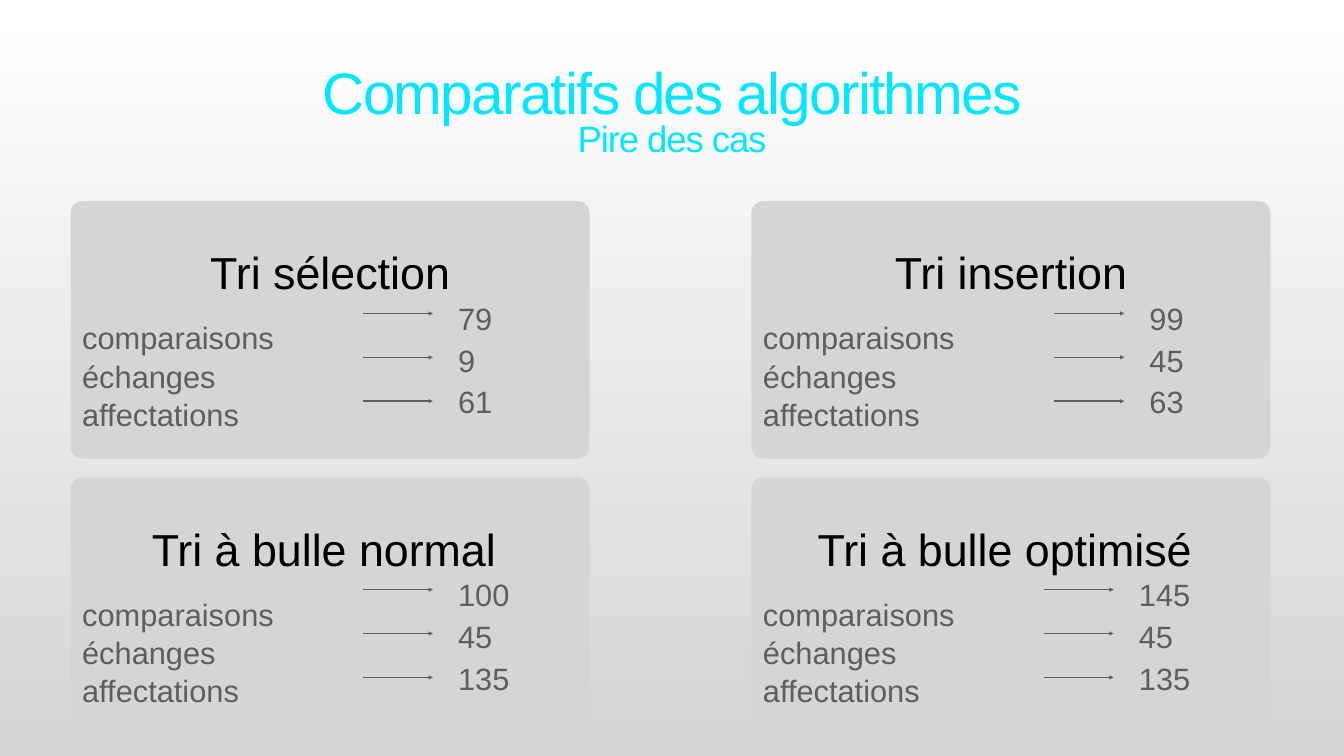
from dataclasses import dataclass

from lxml.etree import SubElement
from pptx import Presentation
from pptx.dml.color import RGBColor
from pptx.enum.shapes import MSO_CONNECTOR, MSO_SHAPE
from pptx.enum.text import MSO_ANCHOR, MSO_AUTO_SIZE, PP_ALIGN
from pptx.oxml.ns import qn
from pptx.util import Inches, Pt


@dataclass(frozen=True)
class Theme:
    font: str = "Arial"
    background: tuple = ("FFFFFF", "D5D5D5")
    heading: tuple = ("00E8FF", "FF00F7")
    card: str = "D5D5D5"
    black: str = "000000"
    grey: str = "5E5E5E"
    title_size: float = 83.5
    subtitle_size: float = 52.2
    name_size: float = 64
    body_size: float = 44


THEME = Theme()

# Card grid and the rows inside each card
CARD_LEFTS = (1.4, 14.91)
CARD_TOPS = (3.99, 9.47)
CARD_WIDTH, CARD_HEIGHT = 10.3, 5.11
ARROW_LENGTH = 1.39
MEASURES = ("comparaisons", "échanges", "affectations")

# Name, column, row, arrow offset from the card's left, values
ALGORITHMS = (
    ("Tri sélection", 0, 0, 5.8, (79, 9, 61)),
    ("Tri insertion", 1, 0, 6.01, (99, 45, 63)),
    ("Tri à bulle normal ", 0, 1, 5.8, (100, 45, 135)),
    ("Tri à bulle optimisé ", 1, 1, 5.8, (145, 45, 135)),
)


def apply_format(target, values):
    for name, value in values.items():
        setattr(target, name, value)


def format_frame(frame, anchor, wrap=True):
    margins = {f"margin_{side}": Inches(0.06)
               for side in ("left", "top", "right", "bottom")}
    apply_format(frame, {"auto_size": MSO_AUTO_SIZE.NONE, "word_wrap": wrap,
                         "vertical_anchor": anchor, **margins})


def apply_gradient(fill, colors, angle):
    fill.gradient()
    fill.gradient_angle = angle
    for stop, color in zip(fill.gradient_stops, colors):
        stop.color.rgb = RGBColor.from_string(color)


def add_text_box(slide, left, top, width, height, anchor, wrap=True):
    box = slide.shapes.add_textbox(
        Inches(left), Inches(top), Inches(width), Inches(height))
    format_frame(box.text_frame, anchor, wrap)
    return box.text_frame


def write_run(paragraph, text, size, color=None):
    run = paragraph.add_run()
    run.text = text
    apply_format(run.font, {"name": THEME.font, "size": Pt(size)})
    if color:
        run.font.color.rgb = RGBColor.from_string(color)
    return run


def write_heading(frame, text, size, tracking):
    paragraph = frame.paragraphs[0]
    apply_format(paragraph, {"alignment": PP_ALIGN.CENTER, "line_spacing": 0.9})
    run = write_run(paragraph, text, size)
    apply_gradient(run.font.fill, THEME.heading, 294)
    run.font._element.set("spc", str(int(tracking * 100)))


def add_headings(slide):
    title = slide.shapes.title
    apply_format(title, {"left": Inches(1.39), "top": Inches(0.89),
                         "width": Inches(23.89), "height": Inches(1.7)})
    format_frame(title.text_frame, MSO_ANCHOR.BOTTOM)
    write_heading(title.text_frame, "Comparatifs des algorithmes",
                  THEME.title_size, -2.5)
    subtitle = add_text_box(slide, 1.39, 2.33, 23.89, 1.11, MSO_ANCHOR.TOP)
    write_heading(subtitle, "Pire des cas", THEME.subtitle_size, -1.6)


def add_card(slide, left, top):
    card = slide.shapes.add_shape(
        MSO_SHAPE.ROUNDED_RECTANGLE, Inches(left), Inches(top),
        Inches(CARD_WIDTH), Inches(CARD_HEIGHT))
    card.adjustments[0] = 0.046
    card.shadow.inherit = False
    card.fill.solid()
    card.fill.fore_color.rgb = RGBColor.from_string(THEME.card)
    card.line.fill.background()


def add_card_text(slide, name, left, top):
    frame = add_text_box(slide, left, top + 0.18, CARD_WIDTH, CARD_HEIGHT,
                         MSO_ANCHOR.MIDDLE)
    heading = frame.paragraphs[0]
    heading.alignment = PP_ALIGN.CENTER
    write_run(heading, name, THEME.name_size, THEME.black)
    for index, measure in enumerate(MEASURES):
        paragraph = frame.add_paragraph()
        paragraph.space_before = Pt(2 if index else 29)
        paragraph._p.get_or_add_pPr().set("marL", str(Inches(0.17)))
        write_run(paragraph, measure, THEME.body_size, THEME.grey)


def add_arrow(slide, left, y):
    arrow = slide.shapes.add_connector(
        MSO_CONNECTOR.STRAIGHT, Inches(left), Inches(y),
        Inches(left + ARROW_LENGTH), Inches(y))
    arrow.line.width = Pt(2)
    arrow.line.color.rgb = RGBColor.from_string(THEME.grey)
    SubElement(arrow.line._get_or_add_ln(), qn("a:tailEnd"), type="triangle")
    SubElement(arrow._element.spPr, qn("a:effectLst"))


def add_value(slide, value, left, top):
    text = str(value)
    frame = add_text_box(slide, left, top, 0.13 + 0.35 * len(text), 0.94,
                         MSO_ANCHOR.MIDDLE, wrap=False)
    write_run(frame.paragraphs[0], text, THEME.body_size, THEME.grey)


def add_algorithm(slide, name, column, row, arrow_offset, values):
    left, top = CARD_LEFTS[column], CARD_TOPS[row]
    add_card(slide, left, top)
    add_card_text(slide, name, left, top)
    arrow_left = left + arrow_offset
    for index, value in enumerate(values):
        add_arrow(slide, arrow_left, top + 2.23 + 0.87 * index)
        add_value(slide, value, arrow_left + 1.83, top + 1.85 + 0.83 * index)


def main():
    presentation = Presentation()
    apply_format(presentation, {"slide_width": Inches(26.67),
                                "slide_height": Inches(15)})
    slide = presentation.slides.add_slide(presentation.slide_layouts[5])
    apply_gradient(slide.background.fill, THEME.background, 270)

    # Title and subtitle
    add_headings(slide)

    # One card per sorting algorithm
    for algorithm in ALGORITHMS:
        add_algorithm(slide, *algorithm)

    presentation.save("out.pptx")


if __name__ == "__main__":
    main()
